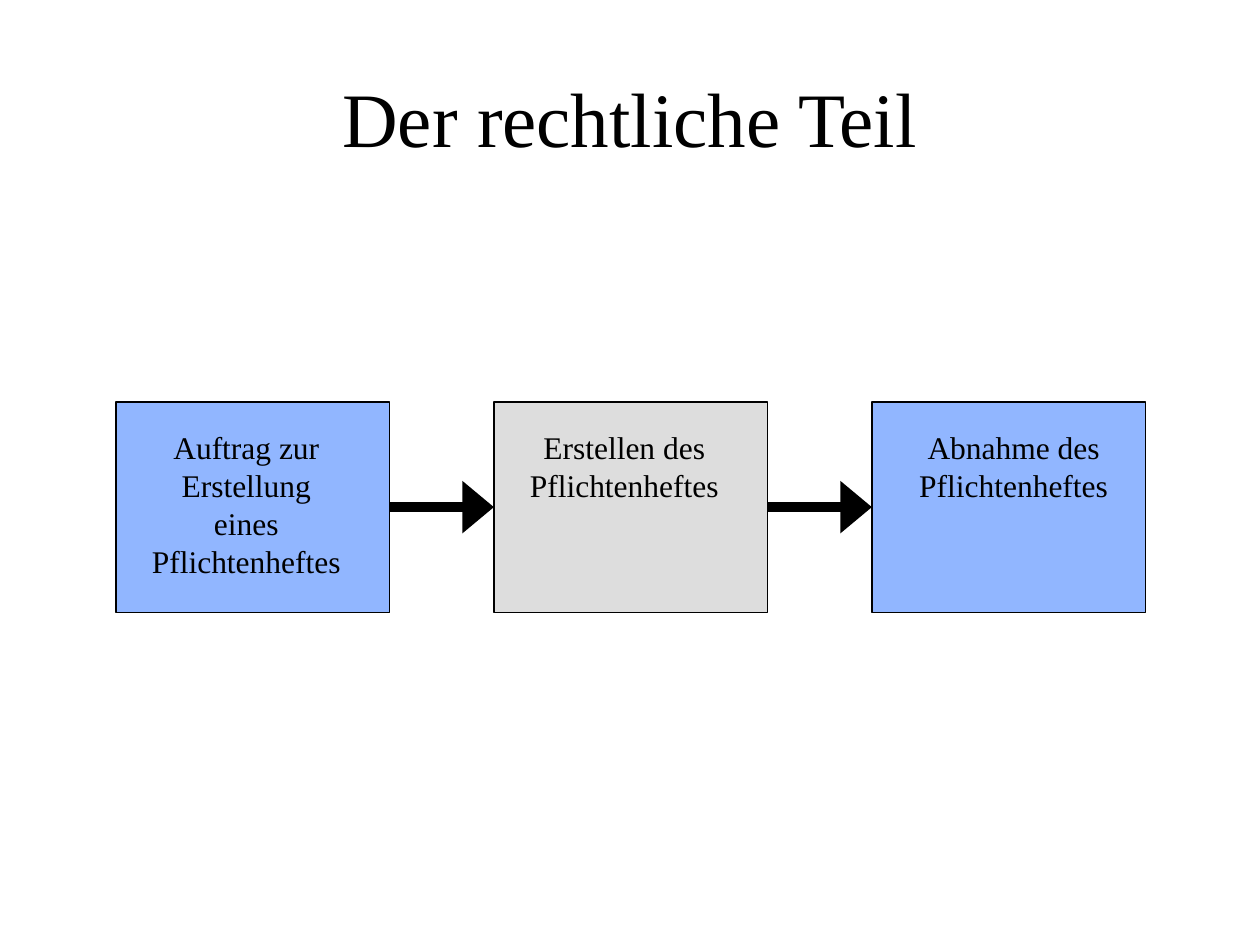
import pptx
import pptx.util
import pptx.dml.color
import pptx.enum.shapes
import pptx.enum.text
import pptx.oxml
from dataclasses import dataclass
from pptx.util import Inches


@dataclass(frozen=True)
class Theme:
    font: str = "Times New Roman"
    black: str = "000000"
    blue: str = "91B6FF"
    grey: str = "DDDDDD"
    head: int = 44
    body: int = 18


theme = Theme()
rgb = pptx.dml.color.RGBColor.from_string


def add_text(slide, text, left, top, width, height, size):
    box = slide.shapes.add_textbox(
        Inches(left), Inches(top), Inches(width), Inches(height))
    frame = box.text_frame
    frame.word_wrap = True
    par = frame.paragraphs[0]
    par.text = text
    par.alignment = pptx.enum.text.PP_ALIGN.CENTER
    par.font.name = theme.font
    par.font.size = pptx.util.Pt(size)
    par.font.color.rgb = rgb(theme.black)
    return frame


def add_arrow(slide, start, end):
    """Join the right side of one box to the left side of the next."""
    line = slide.shapes.add_connector(
        pptx.enum.shapes.MSO_CONNECTOR.STRAIGHT, 0, 0, 0, 0)
    line.begin_connect(start, 3)
    line.end_connect(end, 1)
    line.line.color.rgb = rgb(theme.black)
    line.line.width = pptx.util.Pt(6)
    ns = pptx.oxml.ns.nsdecls("a")
    tip = f'<a:tailEnd {ns} type="triangle" w="lg" len="med"/>'
    line.line._get_or_add_ln().append(pptx.oxml.parse_xml(tip))
    line._element.spPr.append(pptx.oxml.parse_xml(f"<a:effectLst {ns}/>"))


deck = pptx.Presentation()
deck.slide_width, deck.slide_height = Inches(10), Inches(7.5)
slide = deck.slides.add_slide(deck.slide_layouts[6])

title = add_text(slide, "Der rechtliche Teil", 0.5, 0.3, 9, 1.25, theme.head)
title.vertical_anchor = pptx.enum.text.MSO_ANCHOR.MIDDLE

# Text, fill, text inset from the box's left side, text height
steps = [
    ("Auftrag zur\nErstellung eines\nPflichtenheftes", theme.blue, 0.16, 1.3),
    ("Erstellen des\nPflichtenheftes", theme.grey, 0.16, 0.7),
    ("Abnahme des\nPflichtenheftes", theme.blue, 0.25, 0.7),
]
left, top, width, height, pitch = 0.92, 3.19, 2.17, 1.67, 3

boxes = []
for i, (text, fill, inset, tall) in enumerate(steps):
    x = left + i * pitch
    box = slide.shapes.add_shape(
        pptx.enum.shapes.MSO_SHAPE.RECTANGLE,
        Inches(x), Inches(top), Inches(width), Inches(height))
    box.shadow.inherit = False
    box.fill.solid()
    box.fill.fore_color.rgb = rgb(fill)
    box.line.color.rgb = rgb(theme.black)
    box.line.width = pptx.util.Pt(0.75)
    boxes.append(box)
    label = add_text(slide, text, x + inset, top + 0.16, 1.75, tall, theme.body)
    label.auto_size = pptx.enum.text.MSO_AUTO_SIZE.SHAPE_TO_FIT_TEXT

for start, end in zip(boxes, boxes[1:]):
    add_arrow(slide, start, end)

deck.save("out.pptx")
